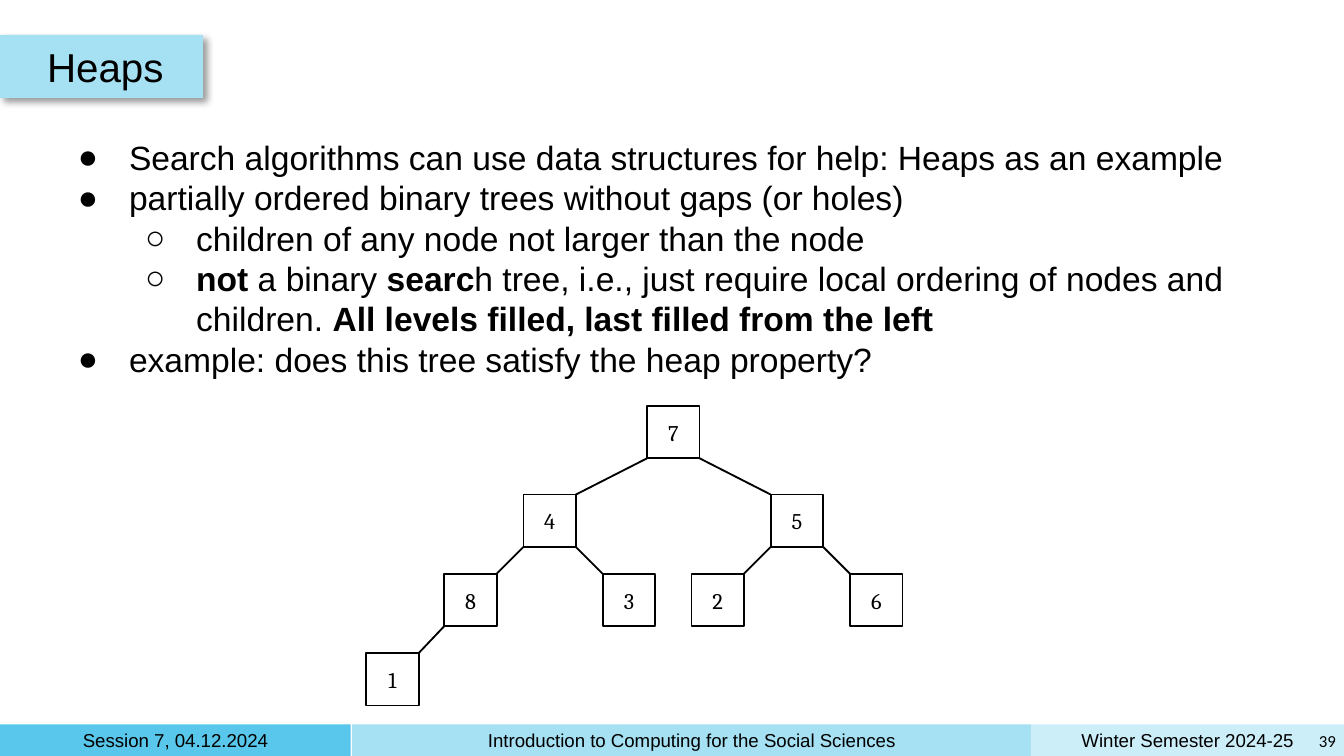
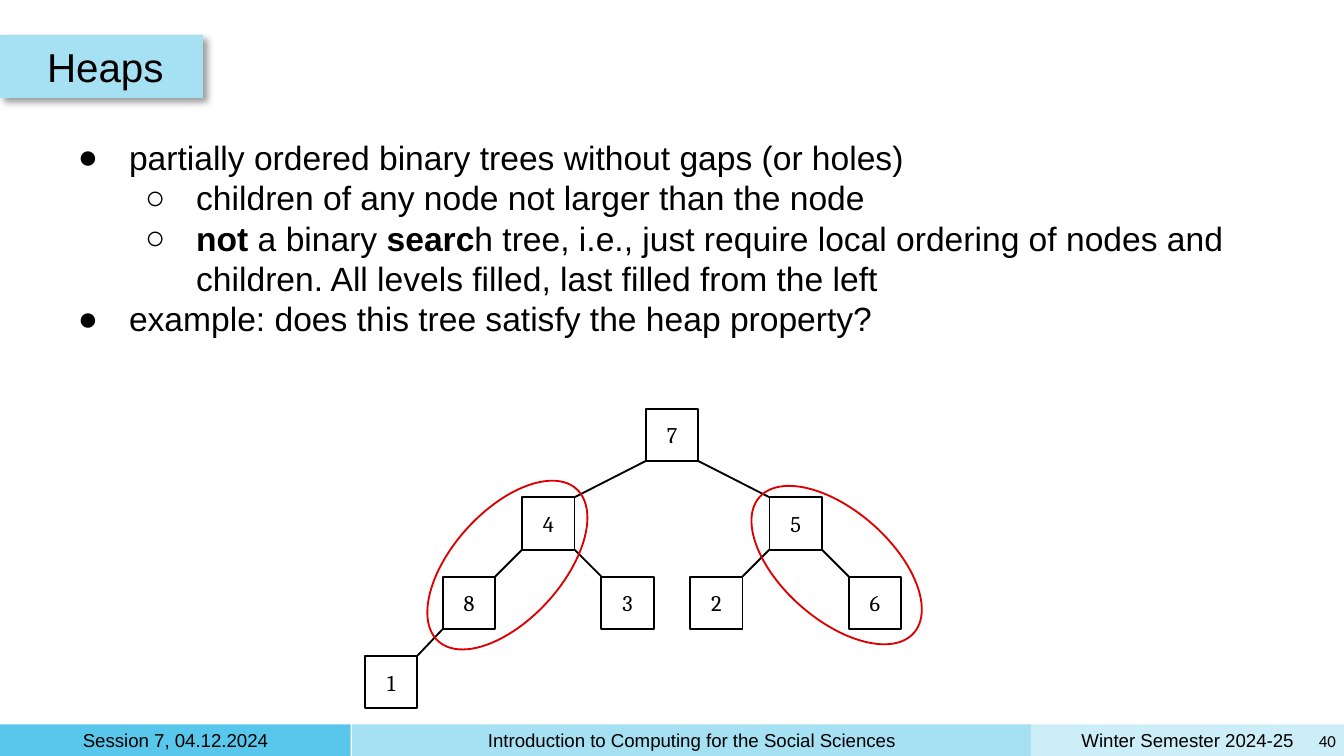
from lxml import etree
from pptx import Presentation
from pptx.dml.color import RGBColor
from pptx.enum.shapes import MSO_CONNECTOR, MSO_SHAPE
from pptx.enum.text import MSO_ANCHOR, MSO_AUTO_SIZE, PP_ALIGN
from pptx.oxml.ns import qn
from pptx.util import Inches, Pt

RECTANGLE, OVAL = MSO_SHAPE.RECTANGLE, MSO_SHAPE.OVAL
STRAIGHT = MSO_CONNECTOR.STRAIGHT
LEFT, CENTER, RIGHT = PP_ALIGN.LEFT, PP_ALIGN.CENTER, PP_ALIGN.RIGHT
TOP, MIDDLE = MSO_ANCHOR.TOP, MSO_ANCHOR.MIDDLE
FIT_SHAPE, NO_FIT = MSO_AUTO_SIZE.SHAPE_TO_FIT_TEXT, MSO_AUTO_SIZE.NONE

COLORS = {
    "text": "000000",
    "session": "59C7EB",
    "band": "A5E0F3",
    "semester": "CCEEF9",
    "mark": "DD0000",
}
INSET = 0.05
BLANK_LAYOUT = 6
PAGE_WIDTH = 10
PAGE_HEIGHT = PAGE_WIDTH * 9 / 16

FOOTER_BOX = (0, 5.39, PAGE_WIDTH, 0.24)
FOOTER_BANDS = [
    (0, 2.61, "session", "Session 7, 04.12.2024"),
    (2.62, 5.05, "band", "Introduction to Computing for the Social Sciences"),
    (7.67, 2.33, "semester", "Winter Semester 2024-25"),
]
TITLE_BOX = (0, 0.26, 1.51, 0.47)
BULLETS = ["●", "○"]

NODE_SIZE = 0.39
LEVEL_STEPS = [(0.92, 0.66), (0.59, 0.59), (0.58, 0.59)]
HEAP = [7, 4, 5, 8, 3, 2, 6, 1]

INTRO = (0, "Search algorithms can use data structures for help: Heaps as an example")
TREES = (0, "partially ordered binary trees without gaps (or holes)")
CHILDREN = (1, "children of any node not larger than the node")
ORDERING = (
    "**not** a binary **searc**h tree, i.e., just require local ordering "
    "of nodes and children. "
)
FILLING = "All levels filled, last filled from the left"
QUESTION = (0, "example: does this tree satisfy the heap property?")

PAGES = [
    {
        "number": 39,
        "points": [INTRO, TREES, CHILDREN, (1, f"{ORDERING}**{FILLING}**"), QUESTION],
        "body": (0.41, 0.97, 9.19, 1.92),
        "tree": (2.73, 3.02, 4.56, 2.22),
        "marks": [],
    },
    {
        "number": 40,
        "points": [TREES, CHILDREN, (1, ORDERING + FILLING), QUESTION],
        "body": (0.41, 0.97, 9.19, 1.62),
        "tree": (2.72, 3.04, 4.56, 2.22),
        "marks": [(0.65, 0.4, 42.3), (3.1, 0.4, 311.3)],
    },
]


def color(name):
    """Return the named colour."""
    return RGBColor.from_string(COLORS[name])


def inches(box):
    """Convert a box of numbers to lengths."""
    return [Inches(value) for value in box]


def style_font(font, size, name="Arial"):
    """Set size, typeface and text colour."""
    font.size, font.name = Pt(size), name
    font.color.rgb = color("text")


def set_frame(frame, anchor, left=INSET):
    """Give a text frame its insets, wrapping and anchor."""
    frame.word_wrap = True
    frame.auto_size = NO_FIT
    frame.vertical_anchor = anchor
    frame.margin_left = Inches(left)
    frame.margin_top = frame.margin_right = frame.margin_bottom = Inches(INSET)


def write_line(frame, text, size, align=CENTER, name="Arial", left=INSET):
    """Write one vertically centred line of text."""
    set_frame(frame, MIDDLE, left)
    para = frame.paragraphs[0]
    para.text, para.alignment = text, align
    style_font(para.font, size, name)


def add_box(page, kind, box, fill=None, line=None):
    """Add a flat shape with an optional fill and outline."""
    shape = page.shapes.add_shape(kind, *inches(box))
    shape.shadow.inherit = False
    if fill:
        shape.fill.solid()
        shape.fill.fore_color.rgb = color(fill)
    else:
        shape.fill.background()
    if line:
        shape.line.color.rgb = color(line)
        shape.line.width = Pt(1)
    else:
        shape.line.fill.background()
    return shape


def add_drop_shadow(shape):
    """Cast a soft shadow to the lower right."""
    effects = shape._element.spPr.find(qn("a:effectLst"))
    shadow = etree.SubElement(
        effects, qn("a:outerShdw"), blurRad=str(Pt(4)), dist=str(Pt(3)),
        dir="2700000", algn="tl", rotWithShape="0")
    tint = etree.SubElement(shadow, qn("a:srgbClr"), val=COLORS["text"])
    etree.SubElement(tint, qn("a:alpha"), val="40000")


def add_footer(page, box, number):
    """Draw the three footer bands and the page number."""
    left, top, width, height = box
    for offset, band_width, fill, text in FOOTER_BANDS:
        band = add_box(page, RECTANGLE, (left + offset, top, band_width, height), fill)
        write_line(band.text_frame, text, 10)
    label = page.shapes.add_textbox(*inches((left + width - 0.25, top, 0.24, height)))
    write_line(label.text_frame, str(number), 9, RIGHT, "Calibri")


def add_title(page, box, text):
    """Draw the title on its tab at the left edge."""
    tab = add_box(page, RECTANGLE, box, "band")
    add_drop_shadow(tab)
    write_line(tab.text_frame, text, 21.6, LEFT, left=0.35)


def set_bullet(para, level):
    """Indent a paragraph and give it the bullet of its level."""
    para.level = level
    props = para._p.get_or_add_pPr()
    props.set("marL", str(Inches(0.5 * (level + 1))))
    props.set("indent", str(Inches(-0.38)))
    tint = etree.SubElement(props, qn("a:buClr"))
    etree.SubElement(tint, qn("a:srgbClr"), val=COLORS["text"])
    etree.SubElement(props, qn("a:buSzPts"), val="1800")
    etree.SubElement(props, qn("a:buFont"), typeface="Arial")
    etree.SubElement(props, qn("a:buChar"), char=BULLETS[level])


def add_points(page, box, points):
    """Write the bulleted points, with bold between double asterisks."""
    frame = page.shapes.add_textbox(*inches(box)).text_frame
    set_frame(frame, TOP)
    frame.auto_size = FIT_SHAPE
    for index, (level, text) in enumerate(points):
        para = frame.add_paragraph() if index else frame.paragraphs[0]
        set_bullet(para, level)
        para.space_before = Pt(0 if index else 6)
        style_font(para.font, 18)
        for part, words in enumerate(text.split("**")):
            if words:
                span = para.add_run()
                span.text = words
                if part % 2:
                    span.font.bold = True


def add_edge(page, start, end):
    """Draw a plain line between two points."""
    edge = page.shapes.add_connector(STRAIGHT, *inches(start + end))
    edge.line.color.rgb = color("text")
    edge.line.width = Pt(1)
    etree.SubElement(edge._element.spPr, qn("a:effectLst"))


def add_tree(page, box, values, marks):
    """Draw a binary tree given in level order, with ellipses around pairs."""
    left, top, width, _ = box
    places = [(left + (width - NODE_SIZE) / 2, top)]
    for index in range(1, len(values)):
        parent_x, parent_y = places[(index - 1) // 2]
        spread, drop = LEVEL_STEPS[(index + 1).bit_length() - 2]
        is_left = index % 2
        x = parent_x - spread if is_left else parent_x + spread
        y = parent_y + drop
        places.append((x, y))
        start_x = parent_x if is_left else parent_x + NODE_SIZE
        end_x = x + NODE_SIZE if is_left else x
        add_edge(page, (start_x, parent_y + NODE_SIZE), (end_x, y))
    for value, (x, y) in zip(values, places):
        node = add_box(page, RECTANGLE, (x, y, NODE_SIZE, NODE_SIZE), line="text")
        write_line(node.text_frame, str(value), 12, name="Cambria")
    for x, y, angle in marks:
        mark = add_box(page, OVAL, (left + x, top + y, 0.81, 1.53), line="mark")
        mark.rotation = angle


def add_heap_page(deck, content):
    """Build one slide with points above a tree."""
    page = deck.slides.add_slide(deck.slide_layouts[BLANK_LAYOUT])
    add_footer(page, FOOTER_BOX, content["number"])
    add_title(page, TITLE_BOX, "Heaps")
    add_points(page, content["body"], content["points"])
    add_tree(page, content["tree"], HEAP, content["marks"])


def main():
    """Build and save the deck."""
    deck = Presentation()
    deck.slide_width, deck.slide_height = inches((PAGE_WIDTH, PAGE_HEIGHT))
    for content in PAGES:
        add_heap_page(deck, content)
    deck.save("out.pptx")


if __name__ == "__main__":
    main()
